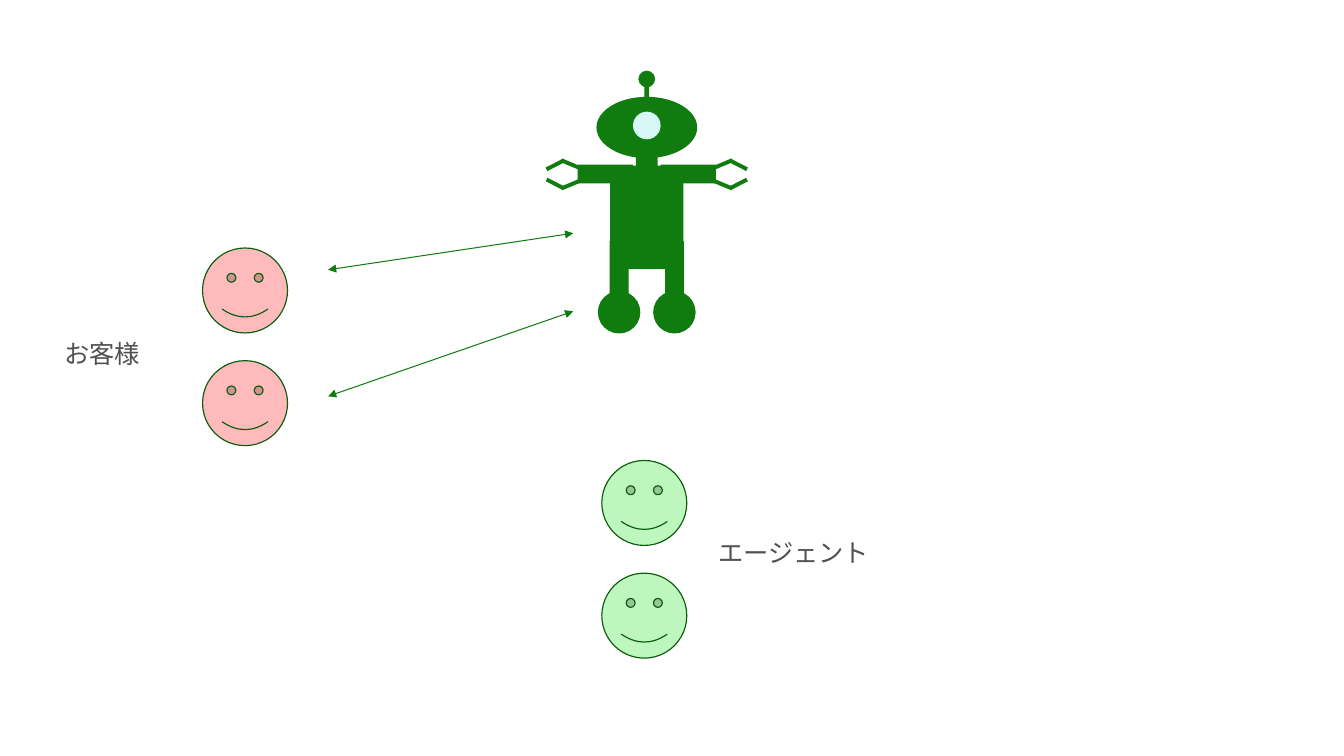
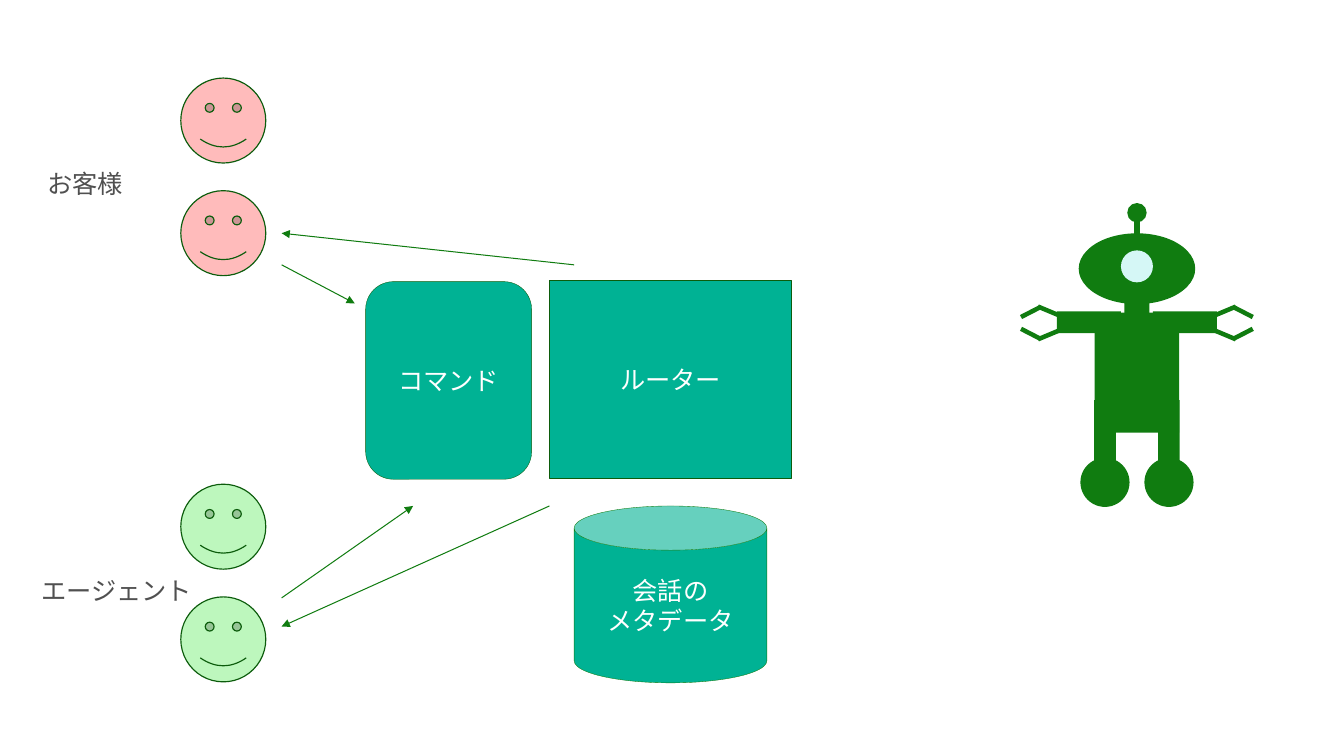
from lxml import etree
from pptx import Presentation
from pptx.dml.color import RGBColor
from pptx.enum.shapes import MSO_CONNECTOR, MSO_SHAPE
from pptx.enum.text import MSO_ANCHOR, PP_ALIGN
from pptx.oxml.ns import qn
from pptx.util import Inches, Pt

RECT = MSO_SHAPE.RECTANGLE
ROUNDED = MSO_SHAPE.ROUNDED_RECTANGLE
OVAL = MSO_SHAPE.OVAL
CAN = MSO_SHAPE.CAN
SMILEY = MSO_SHAPE.SMILEY_FACE
STRAIGHT = MSO_CONNECTOR.STRAIGHT
LEFT, CENTER = PP_ALIGN.LEFT, PP_ALIGN.CENTER
TOP, MIDDLE = MSO_ANCHOR.TOP, MSO_ANCHOR.MIDDLE

GREEN = "107C10"
OUTLINE = "0C5C0C"
TEAL = "00B294"
EYE = "D5F7F6"
CUSTOMER = "FFBBBB"
AGENT = "BDF7BD"
GRAY = "505050"
WHITE = "FFFFFF"
FONT = "Noto Sans CJK JP"

FACE_SIZE = 0.86
FACE_PITCH = 1.14
ROBOT_WIDTH = 2.05

BODY_PARTS = [
    (OVAL, 0, 0.57, 1.02, 0.62),
    (RECT, 0, 1.48, 0.74, 1.05),
    (RECT, 0, 0.22, 0.05, 0.22),
    (OVAL, 0, 0.08, 0.17, 0.17),
    (RECT, 0, 0.96, 0.22, 0.56),
]
SIDE_PARTS = [
    (RECT, 0.42, 1.04, 0.56, 0.19, 0),
    (RECT, 0.28, 2, 0.19, 0.56, 0),
    (OVAL, 0.28, 2.44, 0.43, 0.43, 0),
    (RECT, 0.75, 0.95, 0.25, 0.04, -22.7),
    (RECT, 0.93, 0.95, 0.19, 0.04, 27.2),
    (RECT, 0.75, 1.14, 0.25, 0.04, 22.7),
    (RECT, 0.93, 1.14, 0.19, 0.04, -27.2),
]


def rgb(hex_color):
    return RGBColor.from_string(hex_color)


def write_text(frame, text, color=GRAY, align=LEFT, anchor=TOP, size=18.4):
    frame.word_wrap = True
    frame.vertical_anchor = anchor
    frame.text = text
    for paragraph in frame.paragraphs:
        paragraph.alignment = align
        for run in paragraph.runs:
            run.font.size = Pt(size)
            run.font.name = FONT
            run.font.color.rgb = rgb(color)
            east_asian = etree.SubElement(run.font._element, qn("a:ea"))
            east_asian.set("typeface", FONT)


def add_part(shapes, kind, box, fill, line=None, line_width=0.25):
    part = shapes.add_shape(kind, *[Inches(length) for length in box])
    part.shadow.inherit = False
    part.fill.solid()
    part.fill.fore_color.rgb = rgb(fill)
    if line:
        part.line.color.rgb = rgb(line)
        part.line.width = Pt(line_width)
    else:
        part.line.fill.background()
    return part


def add_label(slide, text, left, top, width):
    label = slide.shapes.add_textbox(
        Inches(left), Inches(top), Inches(width), Inches(0.42))
    write_text(label.text_frame, text)


def add_component(slide, kind, text, box, line=OUTLINE):
    component = add_part(slide.shapes, kind, box, TEAL, line)
    write_text(component.text_frame, text, color=WHITE, align=CENTER, anchor=MIDDLE)


def add_people(slide, left, top, fill):
    for row in range(2):
        box = (left, top + row * FACE_PITCH, FACE_SIZE, FACE_SIZE)
        add_part(slide.shapes, SMILEY, box, fill, OUTLINE, 0.85)


def add_robot(slide, left, top, width):
    scale = width / ROBOT_WIDTH
    robot = slide.shapes.add_group_shape()

    def place(kind, x, y, part_width, part_height, angle=0, fill=GREEN):
        box = (left + width / 2 + (x - part_width / 2) * scale,
               top + (y - part_height / 2) * scale,
               part_width * scale, part_height * scale)
        add_part(robot.shapes, kind, box, fill).rotation = angle

    for part in BODY_PARTS:
        place(*part)
    for side in (1, -1):
        for kind, x, y, part_width, part_height, angle in SIDE_PARTS:
            place(kind, side * x, y, part_width, part_height, side * angle)
    place(OVAL, 0, 0.55, 0.28, 0.28, fill=EYE)


def add_arrow(slide, start, end, both_ways=False):
    arrow = slide.shapes.add_connector(
        STRAIGHT, *[Inches(length) for length in (*start, *end)])
    arrow.line.color.rgb = rgb(GREEN)
    arrow.line.width = Pt(0.75)
    properties = arrow._element.spPr
    outline = properties.find(qn("a:ln"))
    for tag in ("a:headEnd", "a:tailEnd") if both_ways else ("a:tailEnd",):
        etree.SubElement(outline, qn(tag)).set("type", "triangle")
    etree.SubElement(properties, qn("a:effectLst"))


def build_overview(slide):
    add_robot(slide, 5.52, 0.72, 2.05)
    add_people(slide, 2.05, 2.51, CUSTOMER)
    add_label(slide, "お客様", 0.55, 3.37, 1.48)
    add_people(slide, 6.09, 4.66, AGENT)
    add_label(slide, "エージェント", 7.17, 5.39, 1.88)
    for start, end in [((3.32, 2.73), (5.8, 2.36)), ((3.32, 4.01), (5.8, 3.15))]:
        add_arrow(slide, start, end, both_ways=True)


def build_routing(slide):
    add_component(slide, RECT, "ルーター", (5.56, 2.84, 2.45, 2))
    add_component(slide, ROUNDED, "コマンド", (3.7, 2.85, 1.68, 2))
    add_component(slide, CAN, "会話の\nメタデータ", (5.81, 5.12, 1.95, 1.79), GREEN)
    add_robot(slide, 10.32, 2.06, 2.37)
    add_people(slide, 1.83, 0.79, CUSTOMER)
    add_label(slide, "お客様", 0.38, 1.65, 1.42)
    add_people(slide, 1.83, 4.9, AGENT)
    add_label(slide, "エージェント", 0.32, 5.77, 2.37)
    for start, end in [
        ((2.85, 2.68), (3.59, 3.07)),
        ((5.81, 2.68), (2.85, 2.36)),
        ((2.85, 6.05), (4.18, 5.12)),
        ((5.56, 5.12), (2.85, 6.34)),
    ]:
        add_arrow(slide, start, end)


def main():
    deck = Presentation()
    deck.slide_width = Inches(13.6)
    deck.slide_height = Inches(7.65)
    blank = deck.slide_layouts[6]
    for build in (build_overview, build_routing):
        build(deck.slides.add_slide(blank))
    deck.save("out.pptx")


if __name__ == "__main__":
    main()
